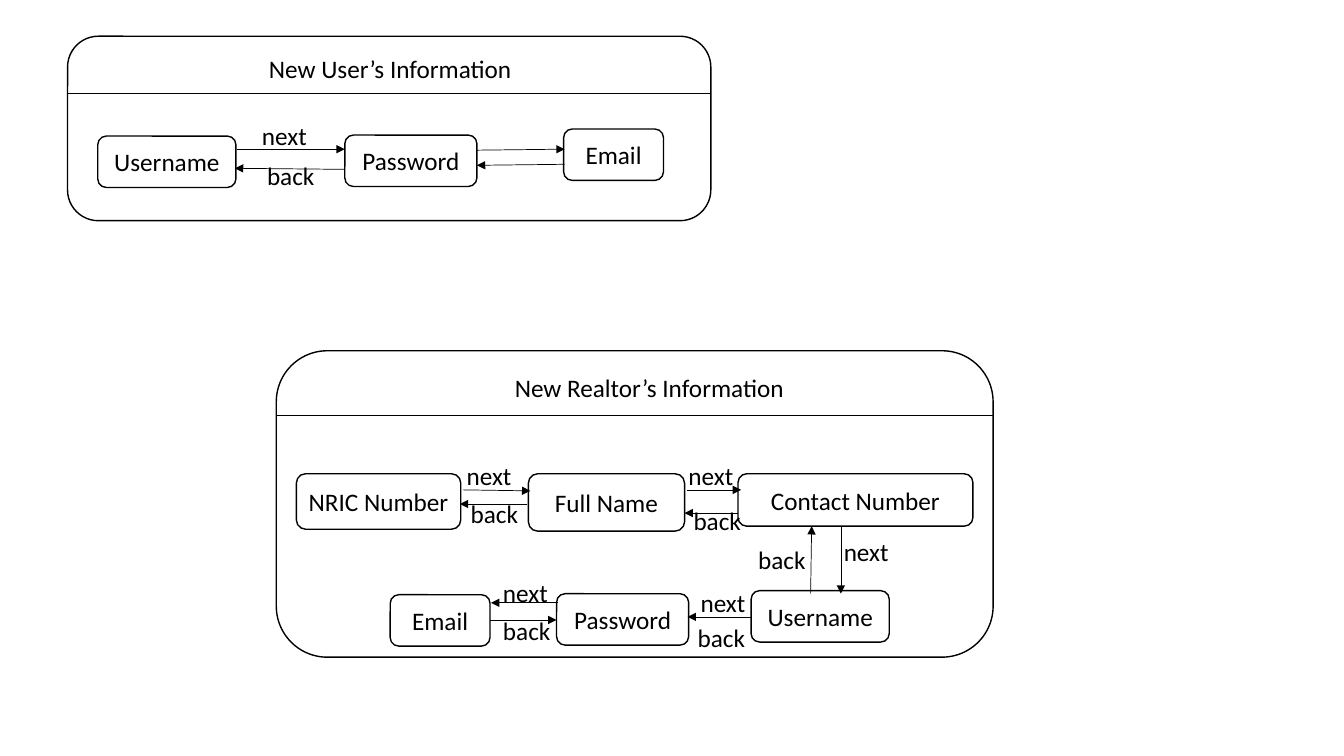
from lxml.etree import SubElement
from pptx import Presentation
from pptx.dml.color import RGBColor
from pptx.enum.shapes import MSO_CONNECTOR, MSO_SHAPE
from pptx.enum.text import MSO_ANCHOR, PP_ALIGN
from pptx.oxml.ns import qn
from pptx.util import Inches, Pt

COLORS = {"ink": "000000", "paper": "FFFFFF"}
FONT = "Calibri"
FONT_SIZE = 18
SLIDE_WIDTH = Inches(13.33)
SLIDE_HEIGHT = Inches(7.5)
COLUMN = SLIDE_WIDTH / 133.3
ROW = SLIDE_HEIGHT / 75
LABEL_WIDTHS = {"next": 6.5, "back": 6.8}
LABEL_HEIGHT = 4


def color(name):
    return RGBColor.from_string(COLORS[name])


def place(column, row):
    return round(column * COLUMN), round(row * ROW)


def write_text(shape, text, alignment, anchor):
    text_frame = shape.text_frame
    text_frame.text = text
    text_frame.word_wrap = False
    text_frame.vertical_anchor = anchor
    paragraph = text_frame.paragraphs[0]
    paragraph.alignment = alignment
    font = paragraph.runs[0].font
    font.name = FONT
    font.size = Pt(FONT_SIZE)
    font.color.rgb = color("ink")


def add_rounded_box(group, column, row, width, height, text=""):
    shape = group.shapes.add_shape(
        MSO_SHAPE.ROUNDED_RECTANGLE, *place(column, row), *place(width, height))
    shape.shadow.inherit = False
    shape.fill.solid()
    shape.fill.fore_color.rgb = color("paper")
    shape.line.color.rgb = color("ink")
    shape.line.width = Pt(1)
    if text:
        write_text(shape, text, PP_ALIGN.CENTER, MSO_ANCHOR.MIDDLE)


def add_text(group, text, column, row, width, alignment=PP_ALIGN.LEFT):
    box = group.shapes.add_textbox(
        *place(column, row), *place(width, LABEL_HEIGHT))
    write_text(box, text, alignment, MSO_ANCHOR.TOP)


def add_line(group, start_column, start_row, end_column, end_row, arrow=True):
    connector = group.shapes.add_connector(
        MSO_CONNECTOR.STRAIGHT,
        *place(start_column, start_row), *place(end_column, end_row))
    connector.line.color.rgb = color("ink")
    connector.line.width = Pt(0.5)
    properties = connector._element.spPr
    if arrow:
        SubElement(properties.get_or_add_ln(), qn("a:tailEnd"), type="triangle")
    SubElement(properties, qn("a:effectLst"))


def add_panel(slide, frame, divider_row, title, fields, arrows, labels):
    group = slide.shapes.add_group_shape()
    left, top, width, height = frame
    add_rounded_box(group, left, top, width, height)
    add_line(group, left, divider_row, left + width, divider_row, arrow=False)
    for text, *bounds in fields:
        add_rounded_box(group, *bounds, text)
    for arrow in arrows:
        add_line(group, *arrow)
    for text, column, row in labels:
        add_text(group, text, column, row, LABEL_WIDTHS[text])
    add_text(group, *title, PP_ALIGN.CENTER)


def add_user_panel(slide):
    add_panel(
        slide,
        frame=(6.7, 3.6, 63.8, 18.3),
        divider_row=9.3,
        title=("New User’s Information", 23.7, 4.8, 30),
        fields=[
            ("Username", 9.7, 13.5, 13.7, 5.1),
            ("Password", 34.2, 13.4, 13.1, 5.1),
            ("Email", 55.9, 12.8, 9.9, 5.1),
        ],
        arrows=[
            (23.5, 14.8, 34.2, 14.8),
            (34.1, 16.8, 23.3, 16.7),
            (47.3, 14.9, 56, 14.8),
            (56, 16.3, 47.3, 16.4),
        ],
        labels=[("next", 25, 11.4), ("back", 25.5, 15.4)],
    )


def add_realtor_panel(slide):
    add_panel(
        slide,
        frame=(27.4, 34.8, 71.1, 30.4),
        divider_row=41.2,
        title=("New Realtor’s Information", 48.4, 36.4, 32),
        fields=[
            ("Username", 74.5, 58.6, 13.7, 5.1),
            ("Password", 55.2, 58.9, 13.1, 5.1),
            ("Email", 38.7, 59, 9.9, 5.1),
            ("Contact Number", 73.2, 47, 23.3, 5.2),
            ("Full Name", 52.4, 47, 15.5, 5.7),
            ("NRIC Number", 29.4, 47, 16.3, 5.5),
        ],
        arrows=[
            (45.9, 48.6, 52.6, 48.7),
            (52.3, 50, 45.6, 50),
            (68.1, 48.6, 73.5, 48.6),
            (73.2, 50.9, 67.9, 50.9),
            (83.4, 52.2, 83.4, 58.9),
            (80.4, 58.9, 80.5, 52.2),
            (74.5, 61.2, 68.2, 61.2),
            (55.3, 59.8, 48.7, 59.8),
            (48.6, 61.5, 55.2, 61.5),
        ],
        labels=[
            ("next", 45.3, 45.2),
            ("back", 45.7, 48.9),
            ("next", 67.3, 45.2),
            ("back", 67.8, 49.6),
            ("next", 82.7, 52.7),
            ("back", 74.2, 53.5),
            ("next", 68.5, 57.8),
            ("back", 68.2, 61.2),
            ("next", 48.9, 56.8),
            ("back", 48.9, 60.6),
        ],
    )


def main():
    presentation = Presentation()
    presentation.slide_width = SLIDE_WIDTH
    presentation.slide_height = SLIDE_HEIGHT
    slide = presentation.slides.add_slide(presentation.slide_layouts[6])
    add_user_panel(slide)
    add_realtor_panel(slide)
    presentation.save("out.pptx")


if __name__ == "__main__":
    main()
